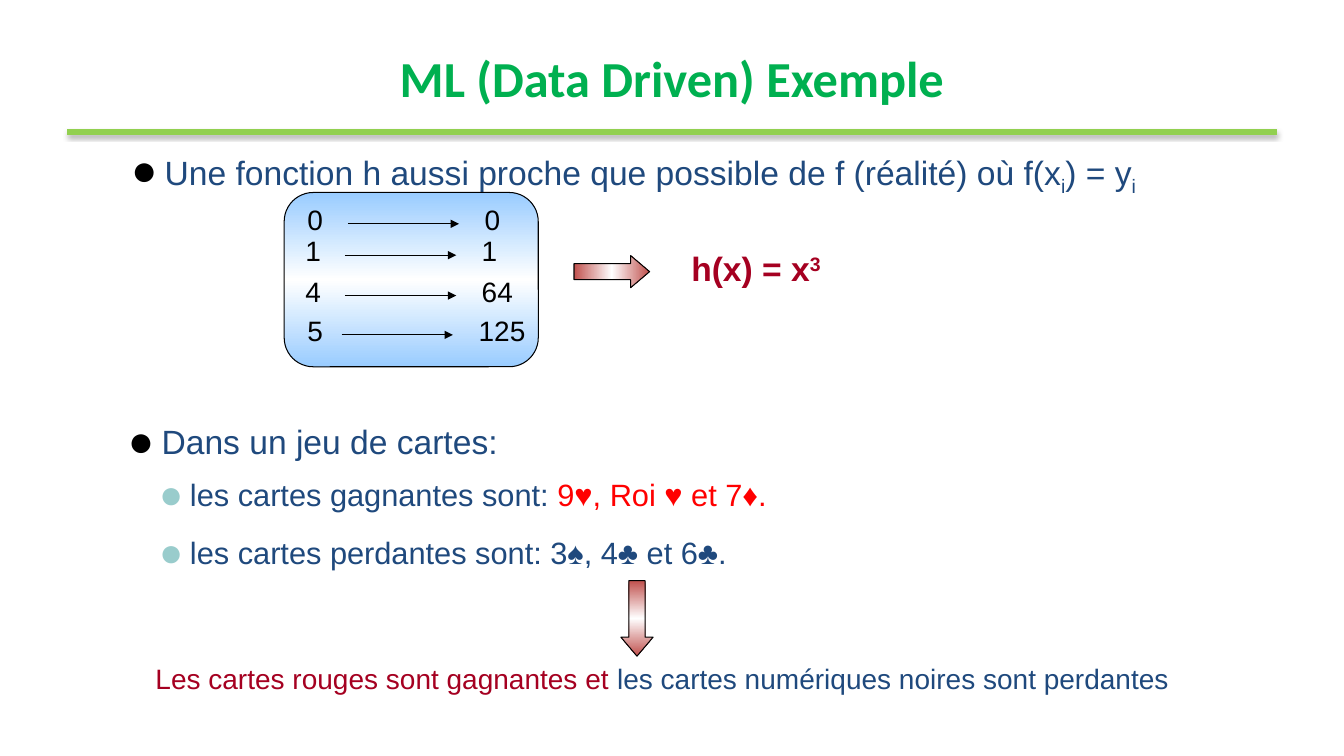
"""Builds a slide with two data-driven learning examples."""
from copy import deepcopy

from lxml.etree import SubElement
from pptx import Presentation
from pptx.dml.color import RGBColor
from pptx.enum.shapes import MSO_CONNECTOR as Connector, MSO_SHAPE as Shape
from pptx.enum.text import MSO_ANCHOR as Anchor, MSO_AUTO_SIZE as AutoSize, PP_ALIGN as Align
from pptx.oxml.ns import qn
from pptx.util import Pt

COLORS = {
    "title": "00B050", "rule": "92D050", "navy": "1F497D", "wine": "A50021",
    "red": "FF0000", "black": "000000", "teal": "99CCCC", "sky": "99CCFF",
    "brick": "C0504D", "white": "FFFFFF",
}
TITLE = "ML (Data Driven) Exemple"
FUNCTION_LIST = [
    {"level": 0, "before": 0, "runs": [
        ("Une fonction h aussi proche que possible de f (réalité) où f(x", "navy", 0),
        ("i", "navy", -25), (") = y", "navy", 0), ("i", "navy", -25)]},
]
CARD_LIST = [
    {"level": 0, "before": 0, "runs": [("Dans un jeu de cartes:", "navy", 0)]},
    {"level": 1, "before": 13, "runs": [
        ("les cartes gagnantes sont: ", "navy", 0), ("9♥, Roi ♥ et 7♦.", "red", 0)]},
    {"level": 1, "before": 17.5, "runs": [
        ("les cartes perdantes sont: 3♠, 4♣ et 6♣.", "navy", 0)]},
]
LEVELS = [
    {"size": 24, "margin": 24, "hanging": 24, "bullet": "black"},
    {"size": 22, "margin": 44.3, "hanging": 22, "bullet": "teal"},
]
HYPOTHESIS = [("h(x) = x", "wine", 0), ("3", "wine", 30)]
CONCLUSION = [
    ("Les cartes rouges sont gagnantes et ", "wine", 0),
    ("les cartes numériques noires sont perdantes", "navy", 0),
]
MAPPINGS = [
    {"x": "0", "y": "0", "top": 141, "lefts": (212.4, 248.4, 339)},
    {"x": "1", "y": "1", "top": 163.4, "lefts": (211, 246.4, 337)},
    {"x": "4", "y": "64", "top": 192.2, "lefts": (211, 246.4, 337)},
    {"x": "5", "y": "125", "top": 220.3, "lefts": (212.4, 244, 334.8)},
]
ARROW_LENGTH, ARROW_DROP = 79.5, 18.9
BLOCK_ARROWS = [(425.5, 167, 270), (443.5, 414.7, 0)]


def color(name):
    return RGBColor.from_string(COLORS[name])


def place(shape, left, top, width, height):
    shape.left, shape.top, shape.width, shape.height = map(Pt, (left, top, width, height))


def add_runs(paragraph, runs, size, font="Arial", bold=False):
    for text, color_name, baseline in runs:
        run = paragraph.add_run()
        run.text = text
        run.font.name, run.font.size, run.font.bold = font, Pt(size), bold
        run.font.color.rgb = color(color_name)
        if baseline:
            run._r.get_or_add_rPr().set("baseline", str(baseline * 1000))


def add_text(shapes, box, runs, size, bold=False, wrap=False, align=Align.LEFT):
    shape = shapes.add_textbox(*map(Pt, box))
    frame = shape.text_frame
    frame.word_wrap, frame.auto_size = wrap, AutoSize.SHAPE_TO_FIT_TEXT
    frame.paragraphs[0].alignment = align
    add_runs(frame.paragraphs[0], runs, size, bold=bold)


def fill_list(placeholder, box, items):
    place(placeholder, *box)
    frame = placeholder.text_frame
    frame.word_wrap, frame.auto_size = True, AutoSize.SHAPE_TO_FIT_TEXT
    frame.vertical_anchor = Anchor.TOP
    for index, item in enumerate(items):
        paragraph = frame.add_paragraph() if index else frame.paragraphs[0]
        level = LEVELS[item["level"]]
        paragraph.level = item["level"]
        paragraph.line_spacing, paragraph.space_before = 0.9, Pt(item["before"])
        properties = paragraph._p.get_or_add_pPr()
        properties.set("marL", str(Pt(level["margin"])))
        properties.set("indent", str(-Pt(level["hanging"])))
        bullet_color = SubElement(properties, qn("a:buClr"))
        SubElement(bullet_color, qn("a:srgbClr"), val=COLORS[level["bullet"]])
        SubElement(properties, qn("a:buSzPct"), val="130000")
        SubElement(properties, qn("a:buChar"), char="●")
        add_runs(paragraph, item["runs"], level["size"])


def add_gradient_shape(shapes, kind, box, edge):
    shape = shapes.add_shape(kind, *map(Pt, box))
    shape.shadow.inherit = False
    shape.line.color.rgb, shape.line.width = color("black"), Pt(0.75)
    shape.fill.gradient()
    shape.fill.gradient_angle = 90
    stop_list = shape._element.spPr.find(".//" + qn("a:gsLst"))
    stop_list.append(deepcopy(stop_list[0]))
    names = (edge, "white", edge)
    for stop, position, name in zip(shape.fill.gradient_stops, (0, 0.5, 1), names):
        stop.position = position
        stop.color.rgb = color(name)
    return shape


def add_line(shapes, left, y, length, color_name, width):
    line = shapes.add_connector(Connector.STRAIGHT, Pt(left), Pt(y), Pt(left + length), Pt(y))
    line.line.color.rgb, line.line.width = color(color_name), Pt(width)
    effects = SubElement(line._element.spPr, qn("a:effectLst"))
    return line, effects


def add_rule(shapes):
    _, effects = add_line(shapes, 48, 94.3, 864, "rule", 4)
    shadow = SubElement(effects, qn("a:outerShdw"), blurRad=str(Pt(3.1)),
                        dist=str(Pt(1.6)), dir="5400000", rotWithShape="0")
    tint = SubElement(shadow, qn("a:srgbClr"), val=COLORS["black"])
    SubElement(tint, qn("a:alpha"), val="38000")


def add_mapping_panel(slide):
    shapes = slide.shapes.add_group_shape().shapes
    add_gradient_shape(shapes, Shape.ROUNDED_RECTANGLE, (203, 137.5, 181.5, 124.5), "sky")
    for row in MAPPINGS:
        input_left, arrow_left, output_left = row["lefts"]
        top = row["top"]
        add_text(shapes, (input_left, top, 26, 31), [(row["x"], "black", 0)], 20)
        arrow, _ = add_line(shapes, arrow_left, top + ARROW_DROP, ARROW_LENGTH, "black", 0.75)
        SubElement(arrow.line._get_or_add_ln(), qn("a:tailEnd"), type="triangle")
        output_width = 15 + 11 * len(row["y"])
        add_text(shapes, (output_left, top, output_width, 31), [(row["y"], "black", 0)], 20)


def main():
    presentation = Presentation()
    presentation.slide_width, presentation.slide_height = Pt(960), Pt(540)
    slide = presentation.slides.add_slide(presentation.slide_layouts[3])
    title, function_body, card_body = slide.placeholders

    place(title, 48, 24.5, 864, 62)
    title.text_frame.vertical_anchor = Anchor.MIDDLE
    title.text_frame.auto_size = AutoSize.NONE
    title.text_frame.paragraphs[0].alignment = Align.CENTER
    add_runs(title.text_frame.paragraphs[0], [(TITLE, "title", 0)], 36, "Calibri", True)
    add_rule(slide.shapes)

    fill_list(function_body, (86.4, 105, 760, 33), FUNCTION_LIST)
    fill_list(card_body, (84.2, 300.2, 650, 109.5), CARD_LIST)
    add_mapping_panel(slide)
    for left, top, rotation in BLOCK_ARROWS:
        arrow = add_gradient_shape(slide.shapes, Shape.DOWN_ARROW, (left, top, 23, 54), "brick")
        arrow.rotation = rotation
        arrow.adjustments[1] = 0.59
    add_text(slide.shapes, (486.7, 173.5, 108, 36), HYPOTHESIS, 24, bold=True)
    add_text(slide.shapes, (90.6, 468.7, 765, 31.7), CONCLUSION, 20, wrap=True, align=Align.CENTER)
    presentation.save("out.pptx")


if __name__ == "__main__":
    main()
